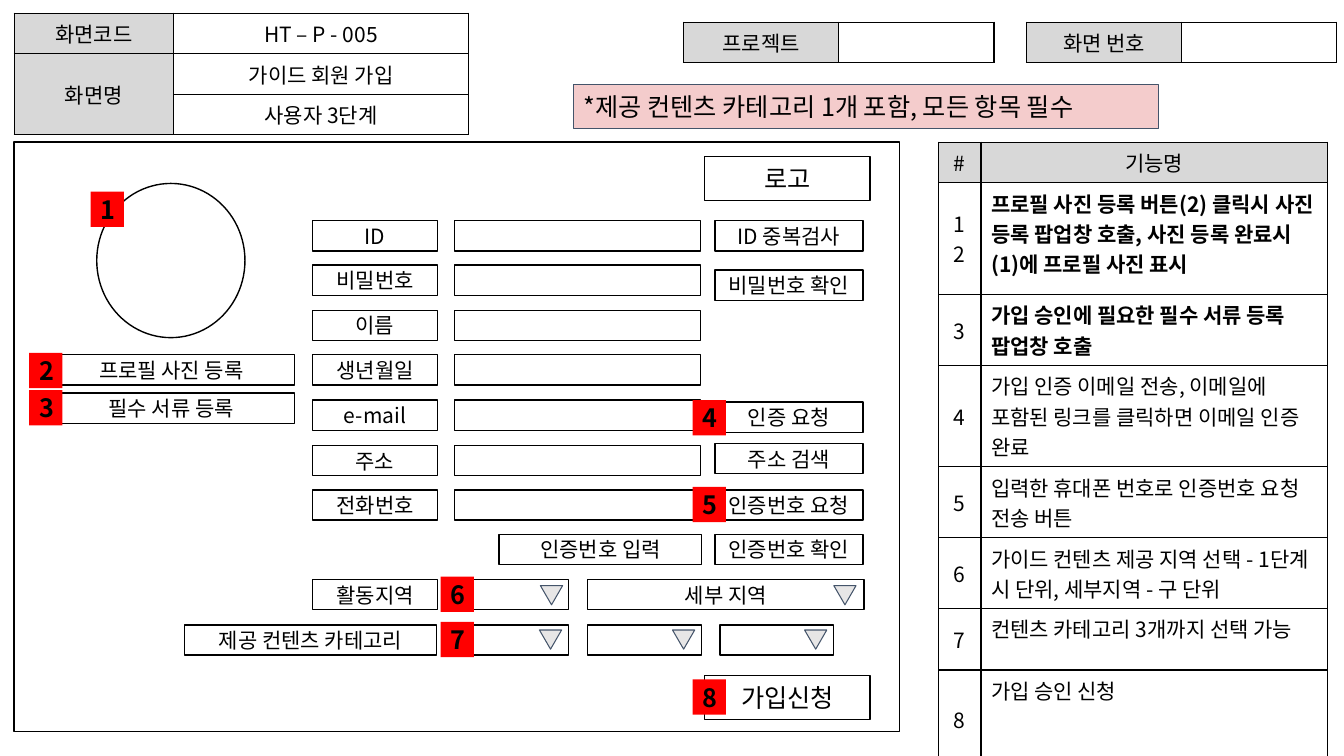
from dataclasses import dataclass, field

from lxml.etree import SubElement
from pptx import Presentation
from pptx.dml.color import RGBColor as Color
from pptx.enum.shapes import MSO_SHAPE as Shape
from pptx.enum.text import MSO_ANCHOR as Anchor, PP_ALIGN as Align
from pptx.oxml.ns import qn
from pptx.util import Inches, Pt


@dataclass(frozen=True)
class Theme:
    font: str = "Noto Sans CJK KR"
    ink: str = "000000"
    paper: str = "FFFFFF"
    header: str = "D8D8D8"
    badge: str = "FF0000"
    arrow: str = "E7E6E6"
    edge: str = "44546A"
    notice: str = "F4CCCC"
    body: float = 15
    large: float = 18
    thin: float = 0.75
    line: float = 1
    cells: dict = field(default_factory=lambda: {
        "head": {"fill": "header", "align": Align.CENTER, "anchor": Anchor.MIDDLE},
        "mid": {"fill": "paper", "align": Align.CENTER, "anchor": Anchor.MIDDLE},
        "text": {"fill": "paper", "align": Align.LEFT, "anchor": Anchor.TOP},
        "strong": {"fill": "paper", "align": Align.LEFT, "anchor": Anchor.TOP, "bold": True},
    })


class Wireframe:
    """Draws wireframe elements on one slide in one theme."""

    def __init__(self, slide, theme):
        self.slide = slide
        self.theme = theme

    def label(self, frame, text, size, align=Align.CENTER, bold=False):
        for index, line in enumerate(text.split("\n")):
            para = frame.add_paragraph() if index else frame.paragraphs[0]
            para.alignment = align
            if not line:
                SubElement(para._p, qn("a:endParaRPr"), sz=str(int(size * 100)))
                continue
            span = para.add_run()
            span.text = line
            values = {"name": self.theme.font, "size": Pt(size), "bold": bold}
            for name, value in values.items():
                setattr(span.font, name, value)
            span.font.color.rgb = Color.from_string(self.theme.ink)
            SubElement(span._r.get_or_add_rPr(), qn("a:ea"), typeface=self.theme.font)

    def shape(self, kind, place, fill, line=None, width=1):
        shape = self.slide.shapes.add_shape(kind, *map(Inches, place))
        shape.shadow.inherit = False
        shape.fill.solid()
        shape.fill.fore_color.rgb = Color.from_string(fill)
        if line:
            shape.line.color.rgb = Color.from_string(line)
            shape.line.width = Pt(width)
        else:
            shape.line.fill.background()
        return shape

    def box(self, left, top, width, height=0.3, text="", size=None, kind=Shape.RECTANGLE):
        theme = self.theme
        box = self.shape(kind, (left, top, width, height), theme.paper, theme.ink, theme.line)
        if text:
            box.text_frame.vertical_anchor = Anchor.MIDDLE
            self.label(box.text_frame, text, size or theme.body)

    def badge(self, left, top, number):
        badge = self.shape(Shape.RECTANGLE, (left, top, 0.33, 0.35), self.theme.badge)
        badge.text_frame.vertical_anchor = Anchor.MIDDLE
        self.label(badge.text_frame, str(number), self.theme.large, bold=True)

    def arrow(self, left, top):
        theme = self.theme
        arrow = self.shape(Shape.ISOSCELES_TRIANGLE, (left, top, 0.22, 0.19),
                           theme.arrow, theme.edge, theme.thin)
        arrow.rotation = 180

    def notice(self, place, text):
        theme = self.theme
        notice = self.shape(Shape.RECTANGLE, place, theme.notice, theme.edge, theme.thin)
        notice.text_frame.vertical_anchor = Anchor.MIDDLE
        self.label(notice.text_frame, text, theme.large, Align.LEFT)

    def cell(self, cell, text, style):
        theme = self.theme
        look = theme.cells[style]
        cell.vertical_anchor = look["anchor"]
        self.label(cell.text_frame, text, theme.body, look["align"], look.get("bold", False))
        self.border(cell)
        cell.fill.solid()
        cell.fill.fore_color.rgb = Color.from_string(getattr(theme, look["fill"]))

    def border(self, cell):
        properties = cell._tc.get_or_add_tcPr()
        for side in ("a:lnL", "a:lnR", "a:lnT", "a:lnB"):
            line = SubElement(properties, qn(side), w=str(Pt(self.theme.line)))
            fill = SubElement(line, qn("a:solidFill"))
            SubElement(fill, qn("a:srgbClr"), val=self.theme.ink)

    def table(self, left, top, columns, heights, rows, merge=None):
        table = self.slide.shapes.add_table(
            len(heights), len(columns), Inches(left), Inches(top),
            Inches(sum(columns)), Inches(sum(heights))).table
        for name in ("first_row", "horz_banding"):
            setattr(table, name, False)
        for column, width in zip(table.columns, columns):
            column.width = Inches(width)
        for row, height, values in zip(table.rows, heights, rows):
            row.height = Inches(height)
            for cell, (text, style) in zip(row.cells, values):
                self.cell(cell, text, style)
        if merge:
            start, end = merge
            table.cell(*start).merge(table.cell(*end))


def row_top(index):
    return round(2.19 + 0.89 * index / 2, 2)


def draw_headers(page):
    page.table(0.14, 0.13, [1.58, 2.93], [0.3] * 3, [
        [("화면코드", "head"), ("HT – P - 005", "mid")],
        [("화면명", "head"), ("가이드 회원 가입", "mid")],
        [("", "head"), ("사용자 3단계", "mid")],
    ], merge=((1, 0), (2, 0)))
    for left, label in ((6.78, "프로젝트"), (10.18, "화면 번호")):
        page.table(left, 0.22, [1.54] * 2, [0.29], [[(label, "head"), ("", "mid")]])
    page.notice((5.69, 0.84, 5.8, 0.44), "*제공 컨텐츠 카테고리 1개 포함, 모든 항목 필수")


def draw_functions(page):
    functions = [
        ("1\n2", "프로필 사진 등록 버튼(2) 클릭시 사진 등록 팝업창 호출, "
                 "사진 등록 완료시 (1)에 프로필 사진 표시", "strong"),
        ("3", "가입 승인에 필요한 필수 서류 등록 팝업창 호출", "strong"),
        ("4", "가입 인증 이메일 전송, 이메일에 포함된 링크를 클릭하면 이메일 인증 완료", "text"),
        ("5", "입력한 휴대폰 번호로 인증번호 요청 전송 버튼", "text"),
        ("6", "가이드 컨텐츠 제공 지역 선택 - 1단계 시 단위, 세부지역 - 구 단위", "text"),
        ("7", "컨텐츠 카테고리 3개까지 선택 가능", "text"),
        ("8", "가입 승인 신청", "text"),
    ]
    rows = [[("#", "head"), ("기능명", "head")]]
    rows += [[(number, "mid"), (text, style)] for number, text, style in functions]
    page.table(9.31, 1.41, [0.42, 3.44],
               [0.39, 1.11, 0.6, 0.85, 0.6, 0.7, 0.61, 0.98], rows)


def draw_form(page):
    page.box(0.14, 1.41, 8.78, 5.85)
    page.box(0.96, 1.82, 1.47, 1.53, kind=Shape.OVAL)
    for top, label in ((1.55, "로고"), (6.7, "가입신청")):
        page.box(6.99, top, 1.64, 0.44, label, page.theme.large)
    for top, label in ((3.52, "프로필 사진 등록"), (3.9, "필수 서류 등록")):
        page.box(0.48, top, 2.44, text=label)

    labels = ["ID", "비밀번호", "이름", "생년월일", "e-mail", "주소", "전화번호"]
    for index, label in enumerate(labels):
        page.box(3.1, row_top(index), 1.24, text=label)
        page.box(4.51, row_top(index), 2.44)
    buttons = [(2.19, "ID 중복검사"), (2.68, "비밀번호 확인"), (3.99, "인증 요청"),
               (4.4, "주소 검색"), (4.86, "인증번호 요청"), (5.3, "인증번호 확인")]
    for top, label in buttons:
        page.box(7.09, top, 1.47, text=label)
    page.box(4.95, row_top(7), 2.01, text="인증번호 입력")

    region, category = row_top(8), row_top(9)
    page.box(3.1, region, 1.24, text="활동지역")
    page.box(4.51, region, 1.13)
    page.box(5.83, region, 2.74, text="세부 지역")
    page.box(1.83, category, 2.5, text="제공 컨텐츠 카테고리")
    for left in (4.51, 5.83, 7.14):
        page.box(left, category, 1.13)
        page.arrow(left + 0.84, category + 0.05)
    for left in (5.36, 8.27):
        page.arrow(left, region + 0.06)

    badges = [(0.9, 1.9), (0.29, 3.5), (0.29, 3.87), (6.87, 3.97),
              (6.87, 4.83), (4.37, 5.72), (4.37, 6.17), (6.87, 6.74)]
    for number, (left, top) in enumerate(badges, 1):
        page.badge(left, top, number)


def main():
    deck = Presentation()
    deck.slide_width, deck.slide_height = Inches(13.33), Inches(7.5)
    page = Wireframe(deck.slides.add_slide(deck.slide_layouts[6]), Theme())
    draw_headers(page)
    draw_form(page)
    draw_functions(page)
    deck.save("out.pptx")


if __name__ == "__main__":
    main()
